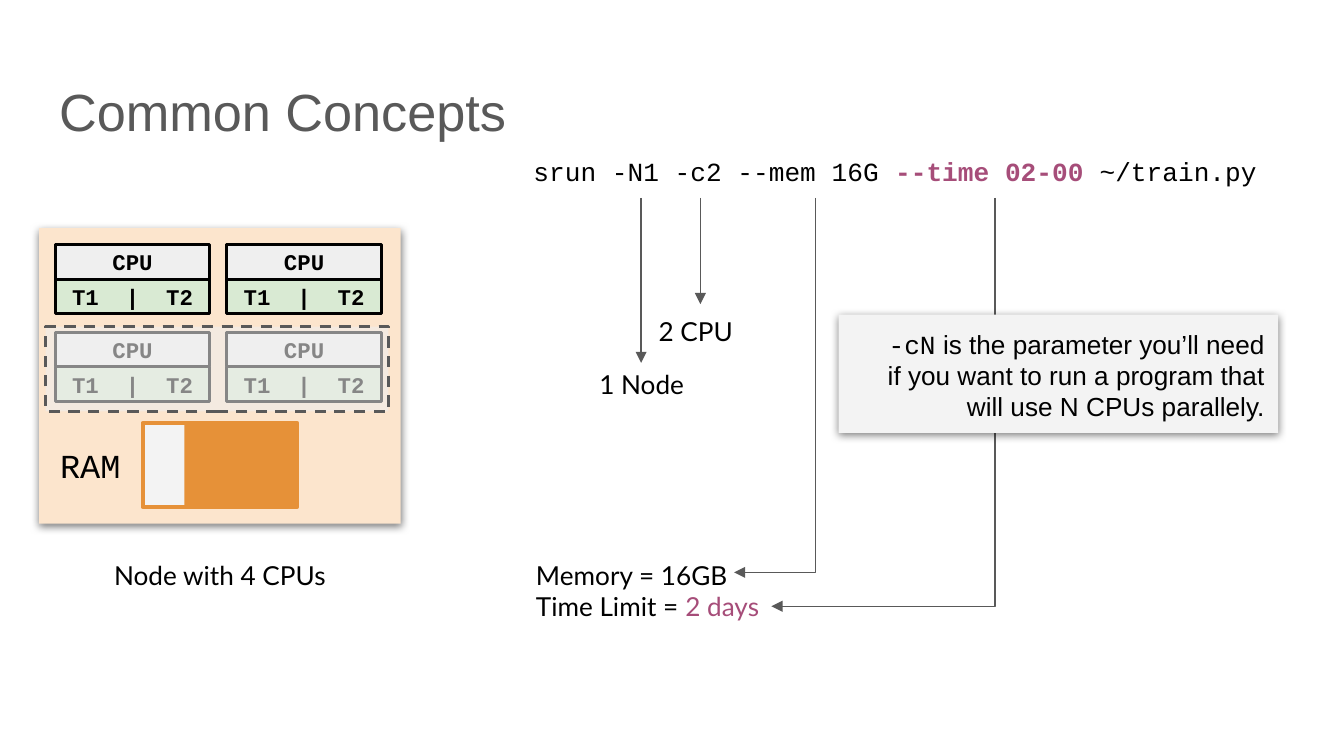
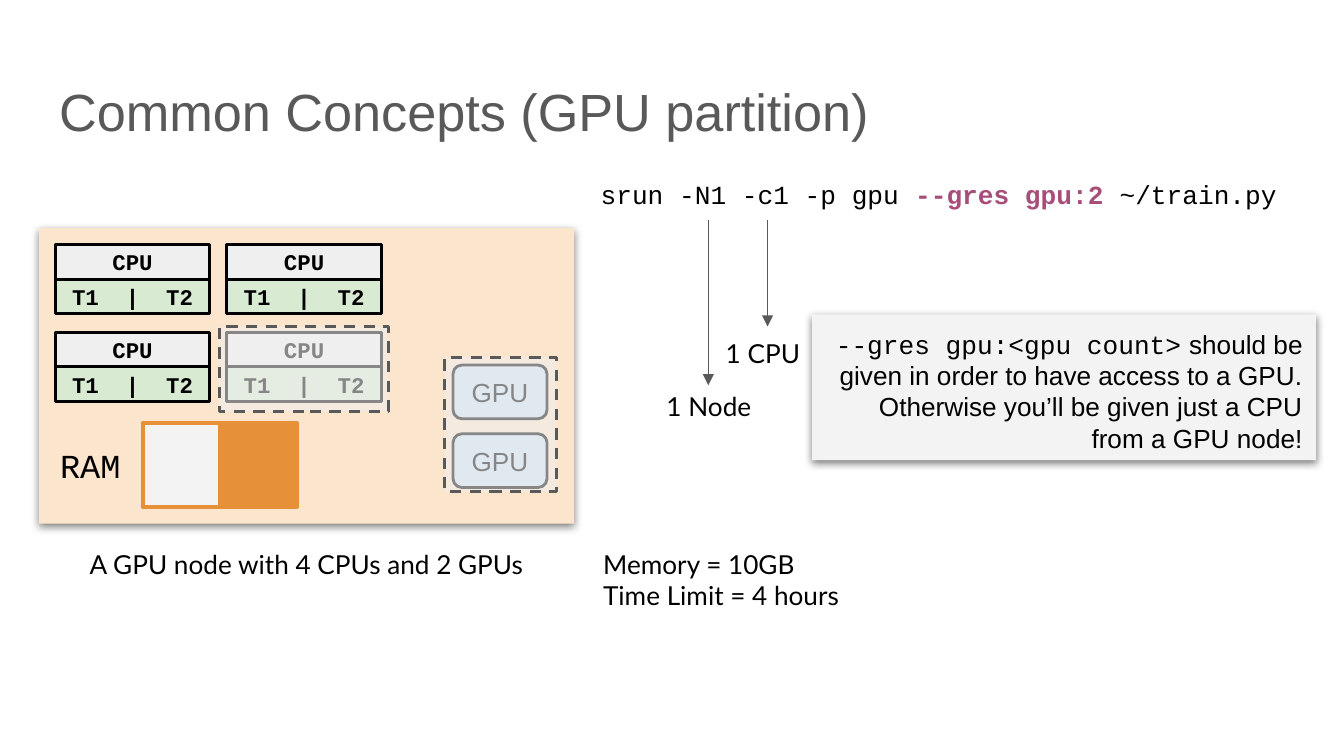
from lxml.etree import SubElement
from pptx import Presentation
from pptx.dml.color import RGBColor
from pptx.enum.dml import MSO_LINE
from pptx.enum.shapes import MSO_CONNECTOR, MSO_SHAPE
from pptx.enum.text import MSO_ANCHOR, PP_ALIGN
from pptx.oxml.ns import qn
from pptx.util import Pt

BLACK, GRAY, ACCENT = "000000", "595959", "A64D79"
PANEL, PALE, MEMORY = "FCE5CD", "F3F3F3", "E69138"
CORE, THREADS, GPU = "EFEFEF", "D9EAD3", "CFE2F3"
SANS, MONO, LABEL = "Arial", "Courier New", "Lato"
TOP, MIDDLE = MSO_ANCHOR.TOP, MSO_ANCHOR.MIDDLE
LEFT, CENTER, RIGHT = PP_ALIGN.LEFT, PP_ALIGN.CENTER, PP_ALIGN.RIGHT


def rgb(color):
    return RGBColor.from_string(color)


def add_run(p, text, font=LABEL, size=14, color=BLACK, bold=False):
    r = p.add_run()
    r.text = text
    r.font.name, r.font.size, r.font.bold = font, Pt(size), bold
    r.font.color.rgb = rgb(color)


def write(tf, paragraphs, align=LEFT, anchor=TOP, **style):
    """Fill a frame from text, or from paragraphs made of (text, format) runs."""
    if isinstance(paragraphs, str):
        paragraphs = [[(paragraphs, {})]]
    tf.word_wrap = True
    tf.vertical_anchor = anchor
    tf.margin_left = tf.margin_right = tf.margin_top = tf.margin_bottom = Pt(7.2)
    for i, runs in enumerate(paragraphs):
        p = tf.add_paragraph() if i else tf.paragraphs[0]
        p.alignment = align
        for text, extra in runs:
            add_run(p, text, **{**style, **extra})


def add_arrowhead(shape):
    ln = shape.element.spPr.find(qn("a:ln"))
    SubElement(ln, qn("a:tailEnd"), type="triangle")


class Deck:
    def __init__(self):
        self.prs = Presentation()
        self.prs.slide_width, self.prs.slide_height = Pt(720), Pt(405)
        self.s = None

    def slide(self, title):
        self.s = self.prs.slides.add_slide(self.prs.slide_layouts[5])
        sp = self.s.shapes.title
        sp.left, sp.top, sp.width, sp.height = Pt(24.5), Pt(35.3), Pt(671), Pt(45.4)
        write(sp.text_frame, title, font=SANS, size=28, color=GRAY)

    def shape(self, x, y, w, h, fill, line=None, width=1.5, kind=MSO_SHAPE.RECTANGLE,
              parent=None):
        shapes = (parent or self.s).shapes
        sp = shapes.add_shape(kind, Pt(x), Pt(y), Pt(w), Pt(h))
        sp.shadow.inherit = False
        sp.fill.solid()
        sp.fill.fore_color.rgb = rgb(fill)
        if line:
            sp.line.color.rgb = rgb(line)
            sp.line.width = Pt(width)
        else:
            sp.line.fill.background()
        return sp

    def raised(self, x, y, w, h, fill):
        """Add a borderless panel with a soft shadow below it."""
        sp = self.shape(x, y, w, h, fill)
        effects = sp.element.spPr.find(qn("a:effectLst"))
        shadow = SubElement(effects, qn("a:outerShdw"), blurRad=str(Pt(4.5)),
                            dist=str(Pt(1.5)), dir="5400000", algn="bl", rotWithShape="0")
        color = SubElement(shadow, qn("a:srgbClr"), val=BLACK)
        SubElement(color, qn("a:alpha"), val="50000")
        return sp

    def veil(self, x, y, w, h):
        """Cover unused resources with a translucent dashed box."""
        sp = self.shape(x, y, w, h, CORE, GRAY)
        sp.line.dash_style = MSO_LINE.DASH
        color = sp.element.spPr.find(qn("a:solidFill"))[0]
        SubElement(color, qn("a:alpha"), val="56000")

    def text(self, x, y, w, h, content, **style):
        sp = self.s.shapes.add_textbox(Pt(x), Pt(y), Pt(w), Pt(h))
        write(sp.text_frame, content, **style)

    def callout(self, x, w, h, content):
        sp = self.raised(x, 168.5, w, h, PALE)
        write(sp.text_frame, content, align=RIGHT, font=SANS)

    def arrow_down(self, x, top, bottom):
        c = self.s.shapes.add_connector(MSO_CONNECTOR.STRAIGHT, Pt(x), Pt(top), Pt(x), Pt(bottom))
        c.line.color.rgb = rgb(GRAY)
        c.line.width = Pt(0.75)
        add_arrowhead(c)
        SubElement(c.element.spPr, qn("a:effectLst"))

    def arrow_down_left(self, x, top, bottom, end):
        fb = self.s.shapes.build_freeform(Pt(x), Pt(top))
        fb.add_line_segments([(Pt(x), Pt(bottom)), (Pt(end), Pt(bottom))], close=False)
        sp = fb.convert_to_shape()
        sp.shadow.inherit = False
        sp.fill.background()
        sp.line.color.rgb = rgb(GRAY)
        sp.line.width = Pt(0.75)
        add_arrowhead(sp)

    def cpu(self, x, y):
        group = self.s.shapes.add_group_shape()
        for i, (label, fill) in enumerate([("CPU", CORE), ("T1  |  T2", THREADS)]):
            sp = self.shape(x, y + i * 18.6, 82.8, 18.6, fill, BLACK, parent=group)
            write(sp.text_frame, label, align=CENTER, anchor=MIDDLE,
                  font=MONO, size=12, bold=True)

    def gpu(self, x, y):
        sp = self.shape(x, y, 50.4, 28.8, GPU, BLACK, kind=MSO_SHAPE.ROUNDED_RECTANGLE)
        write(sp.text_frame, "GPU", align=CENTER, anchor=MIDDLE, font=SANS)

    def node(self, width, ram_taken, caption, caption_y):
        """Draw a node with four CPUs and its memory, filled from the right."""
        self.raised(21, 122.3, width, 158.3, PANEL)
        for row in range(2):
            for col in range(2):
                self.cpu(29.6 + col * 91.9, 131 + row * 47)
        self.shape(76.4, 226.6, 82.8, 45, PALE, MEMORY, 2.25)
        self.shape(158.6 - ram_taken, 226.4, ram_taken, 44.6, MEMORY)
        self.text(21, 234.7, 54.7, 28.8, "RAM", align=CENTER, anchor=MIDDLE,
                  font=MONO, size=18)
        self.text(21, caption_y, width, 28.8, caption, align=CENTER)

    def command(self, x, y, runs, cpus):
        """Write the command line with arrows to its node and CPU counts."""
        self.text(x, y, 417, 37.4, [runs], font=MONO)
        for label, dx, length in [("1 Node", 64.8, 88.4), (cpus, 96.5, 56.9)]:
            top = y + 29.8
            self.arrow_down(x + dx, top, top + length)
            self.text(x + dx - 29.5, top + length - 3 * (label == "1 Node"),
                      59.8, 28.8, label, anchor=MIDDLE)

    def limits(self, x, y, time):
        self.text(x, y, 281, 88.6, [[("Memory = " + time[0], {})],
                                    [("Time Limit = ", {}), time[1]]])


def cpu_slide(d):
    d.slide("Common Concepts")
    d.node(193.7, 59.8, "Node with 4 CPUs", 292.3)
    d.veil(24.5, 175, 183.6, 45.4)
    d.command(278.7, 76.2, [("srun -N1 -c2 --mem 16G ", {}),
                            ("--time 02-00", {"color": ACCENT, "bold": True}),
                            (" ~/train.py", {})], "2 CPU")
    d.limits(280, 292.3, ("16GB", ("2 days", {"color": ACCENT})))
    d.arrow_down_left(437, 106, 306.7, 393.3)
    d.arrow_down_left(533, 106, 324.8, 413.3)
    d.callout(449.3, 235.5, 63.4, [
        [("-cN", {"font": MONO}), (" is the parameter you’ll need", {})],
        [("if you want to run a program that will use N CPUs parallely.", {})]])


def gpu_slide(d):
    d.slide("Common Concepts (GPU partition)")
    d.node(286.5, 41.8, "A GPU node with 4 CPUs and 2 GPUs", 286.5)
    for row in range(2):
        d.gpu(242.7, 195.6 + row * 36.8)
    d.command(314.7, 88.2, [("srun -N1 -c1 -p gpu", {}),
                            (" --gres gpu:2", {"color": ACCENT, "bold": True}),
                            (" ~/train.py", {})], "1 CPU")
    d.limits(316, 286.5, ("10GB", ("4 hours", {})))
    d.veil(117.4, 175, 90.7, 45.4)
    d.callout(435, 270, 78, [
        [("--gres gpu:<gpu count>", {"font": MONO}),
         (" should be given in order to have access to a GPU. "
          "Otherwise you’ll be given just a CPU from a GPU node!", {})]])
    d.veil(238.3, 191.4, 59.8, 72)


def main():
    d = Deck()
    cpu_slide(d)
    gpu_slide(d)
    d.prs.save("out.pptx")


if __name__ == "__main__":
    main()
